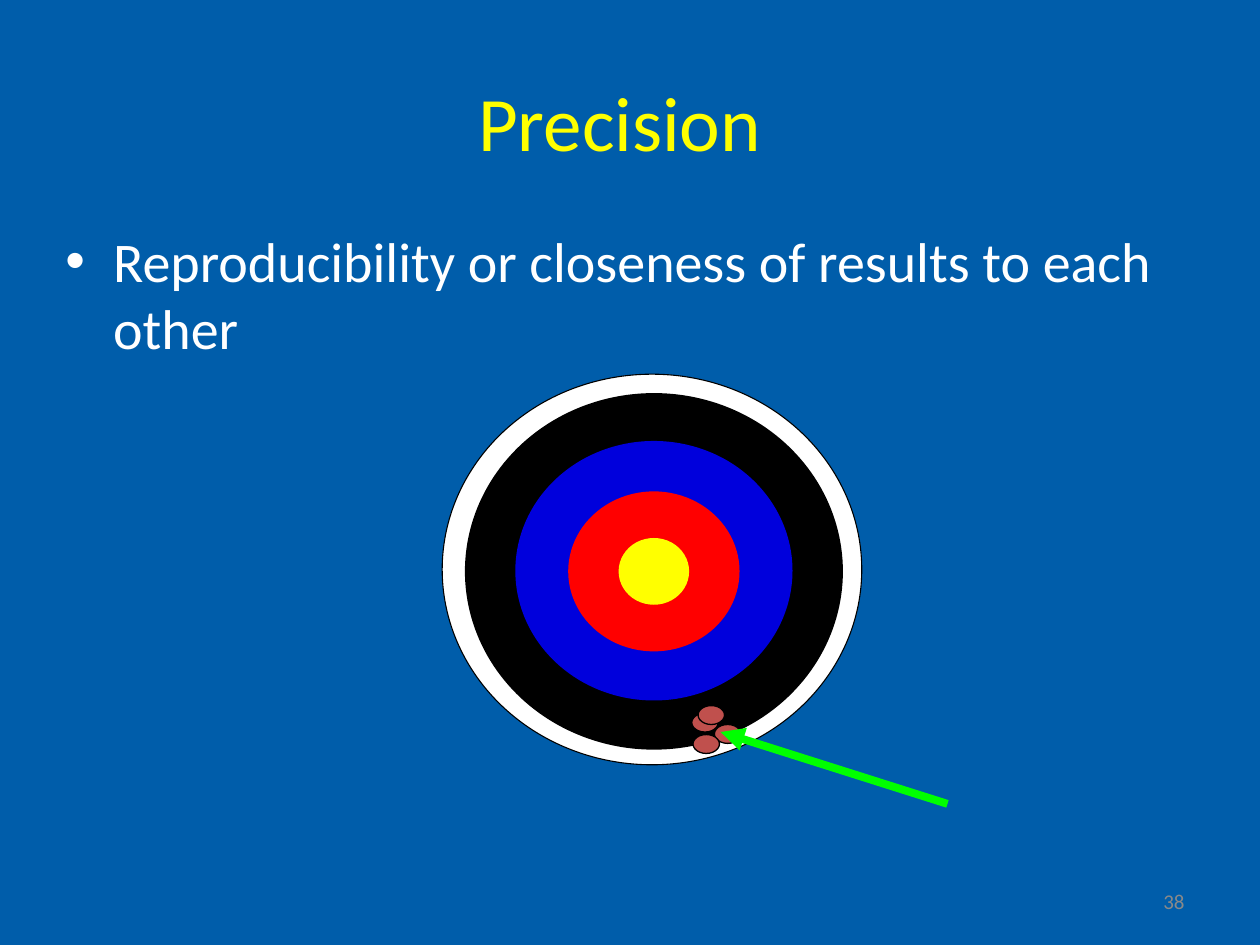
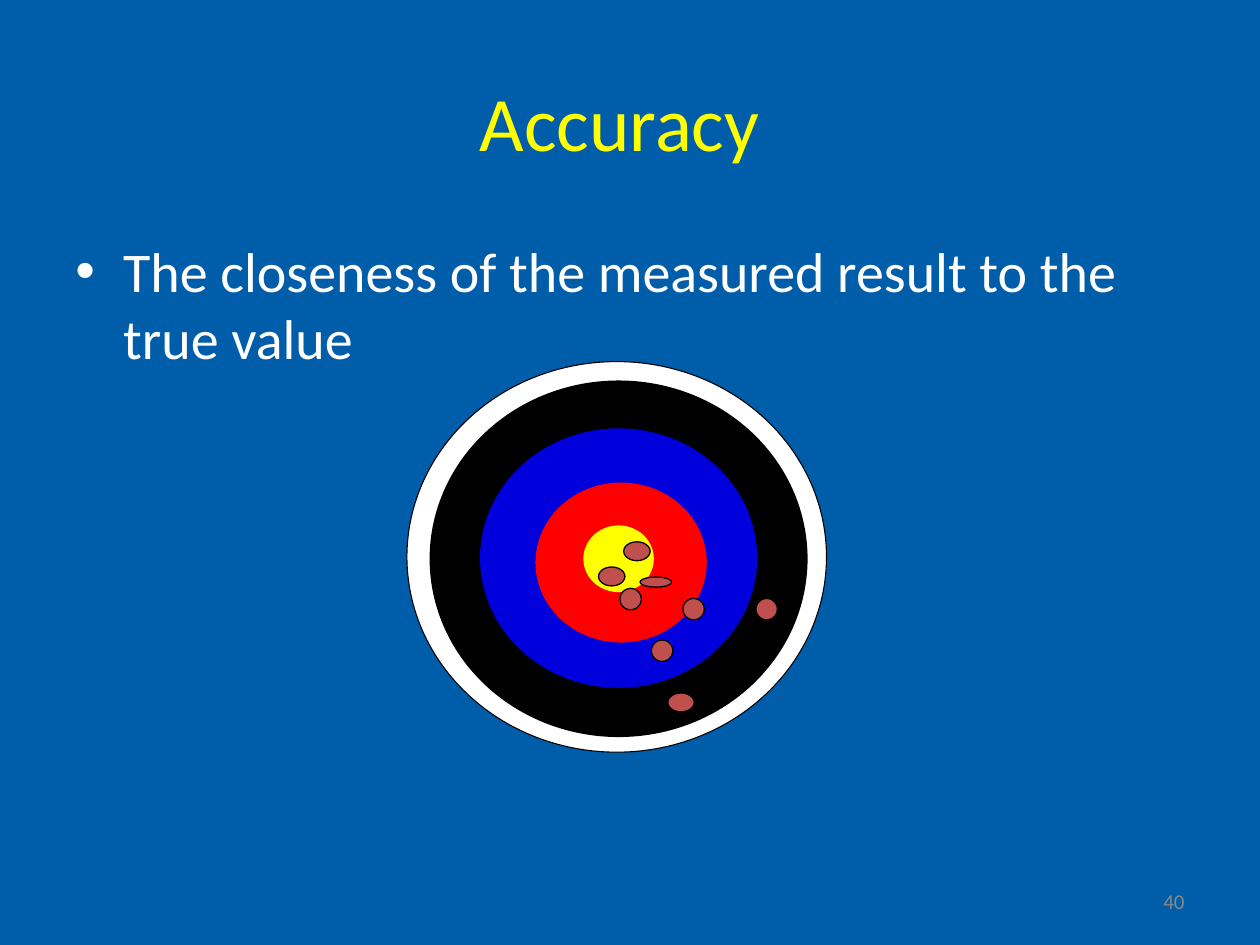
from dataclasses import dataclass

from lxml import etree
from pptx import Presentation
from pptx.dml.color import RGBColor
from pptx.enum.shapes import MSO_CONNECTOR, MSO_SHAPE
from pptx.enum.text import MSO_ANCHOR, PP_ALIGN
from pptx.oxml.ns import qn
from pptx.util import Inches, Pt

OVAL = MSO_SHAPE.OVAL
LINE = MSO_CONNECTOR.STRAIGHT
MIDDLE, TOP = MSO_ANCHOR.MIDDLE, MSO_ANCHOR.TOP
LEFT, CENTER, RIGHT = PP_ALIGN.LEFT, PP_ALIGN.CENTER, PP_ALIGN.RIGHT


@dataclass
class Theme:
    font: str = "Calibri"
    back: str = "005DAA"
    title: str = "FFFF00"
    body: str = "FFFFFF"
    number: str = "898989"
    edge: str = "000000"
    hit: str = "C0504D"
    arrow: str = "00FF00"
    title_size: int = 44
    body_size: int = 32
    number_size: int = 12


theme = Theme()


def add_text(slide, box, text, size, color, align, anchor, bullet=False):
    frame = slide.shapes.add_textbox(*map(Inches, box)).text_frame
    frame.word_wrap = True
    frame.vertical_anchor = anchor
    para = frame.paragraphs[0]
    para.alignment = align
    if bullet:
        props = para._p.get_or_add_pPr()
        props.set("marL", str(Inches(0.38)))
        props.set("indent", str(Inches(-0.38)))
        etree.SubElement(props, qn("a:buFont"), typeface="Arial")
        etree.SubElement(props, qn("a:buChar"), char="•")
    run = para.add_run()
    run.text = text
    form = {"name": theme.font, "size": Pt(size), "bold": False}
    for key, value in form.items():
        setattr(run.font, key, value)
    run.font.color.rgb = RGBColor.from_string(color)


def add_oval(shapes, box, color, width=0):
    oval = shapes.add_shape(OVAL, *map(Inches, box))
    oval.shadow.inherit = False
    oval.fill.solid()
    oval.fill.fore_color.rgb = RGBColor.from_string(color)
    if width:
        oval.line.color.rgb = RGBColor.from_string(theme.edge)
        oval.line.width = Pt(width)
    else:
        oval.line.fill.background()


wide, round_hit, flat = (0.21, 0.15), (0.17, 0.17), (0.25, 0.08)

pages = [
    {
        "title": "Precision",
        "body": "Reproducibility or closeness of results to each other",
        "number": "38",
        "start": (0.42, 1.75),
        "board": (3.51, 2.97),
        "red": (1, 0.93),
        "hits": [
            (5.49, 5.66, *wide),
            (5.54, 5.6, *wide),
            (5.67, 5.75, *wide),
            (5.5, 5.83, *wide),
        ],
        "arrows": [(7.52, 6.38, 5.72, 5.81)],
    },
    {
        "title": "Accuracy",
        "body": "The closeness of the measured result to the true value",
        "number": "40",
        "start": (0.5, 1.83),
        "board": (3.23, 2.87),
        "red": (1.02, 0.96),
        "hits": [
            (4.95, 4.3, *wide),
            (4.75, 4.5, *wide),
            (5.08, 4.58, *flat),
            (4.92, 4.67, *round_hit),
            (5.42, 4.75, *round_hit),
            (5.17, 5.08, *round_hit),
            (6, 4.75, *round_hit),
            (5.3, 5.5, *wide),
        ],
        "arrows": [],
    },
]

deck = Presentation()
deck.slide_width = Inches(10)
deck.slide_height = Inches(7.5)

for page in pages:
    slide = deck.slides.add_slide(deck.slide_layouts[6])
    slide.background.fill.solid()
    slide.background.fill.fore_color.rgb = RGBColor.from_string(theme.back)

    add_text(slide, (7.17, 6.95, 2.33, 0.4), page["number"],
             theme.number_size, theme.number, RIGHT, MIDDLE)
    add_text(slide, (0.42, 0.33, 9, 1.25), page["title"],
             theme.title_size, theme.title, CENTER, MIDDLE)
    add_text(slide, (*page["start"], 9, 4.95), page["body"],
             theme.body_size, theme.body, LEFT, TOP, bullet=True)

    left, top = page["board"]
    rings = [
        ((0, 0), (3.33, 3.1), "FFFFFF", 0.62),
        ((0.18, 0.15), (3, 2.83), "000000", 0),
        ((0.58, 0.53), (2.2, 2.06), "0000DC", 0),
        (page["red"], (1.36, 1.27), "FF0000", 0),
        ((1.4, 1.3), (0.56, 0.53), "FFFF00", 0),
    ]
    target = slide.shapes.add_group_shape()
    for (dx, dy), size, color, width in rings:
        add_oval(target.shapes, (left + dx, top + dy, *size), color, width)

    for hit in page["hits"]:
        add_oval(slide.shapes, hit, theme.hit, 0.75)

    for ends in page["arrows"]:
        arrow = slide.shapes.add_connector(LINE, *map(Inches, ends))
        arrow.line.color.rgb = RGBColor.from_string(theme.arrow)
        arrow.line.width = Pt(4.5)
        etree.SubElement(arrow.line._get_or_add_ln(), qn("a:tailEnd"), type="triangle")
        etree.SubElement(arrow._element.spPr, qn("a:effectLst"))

deck.save("out.pptx")
